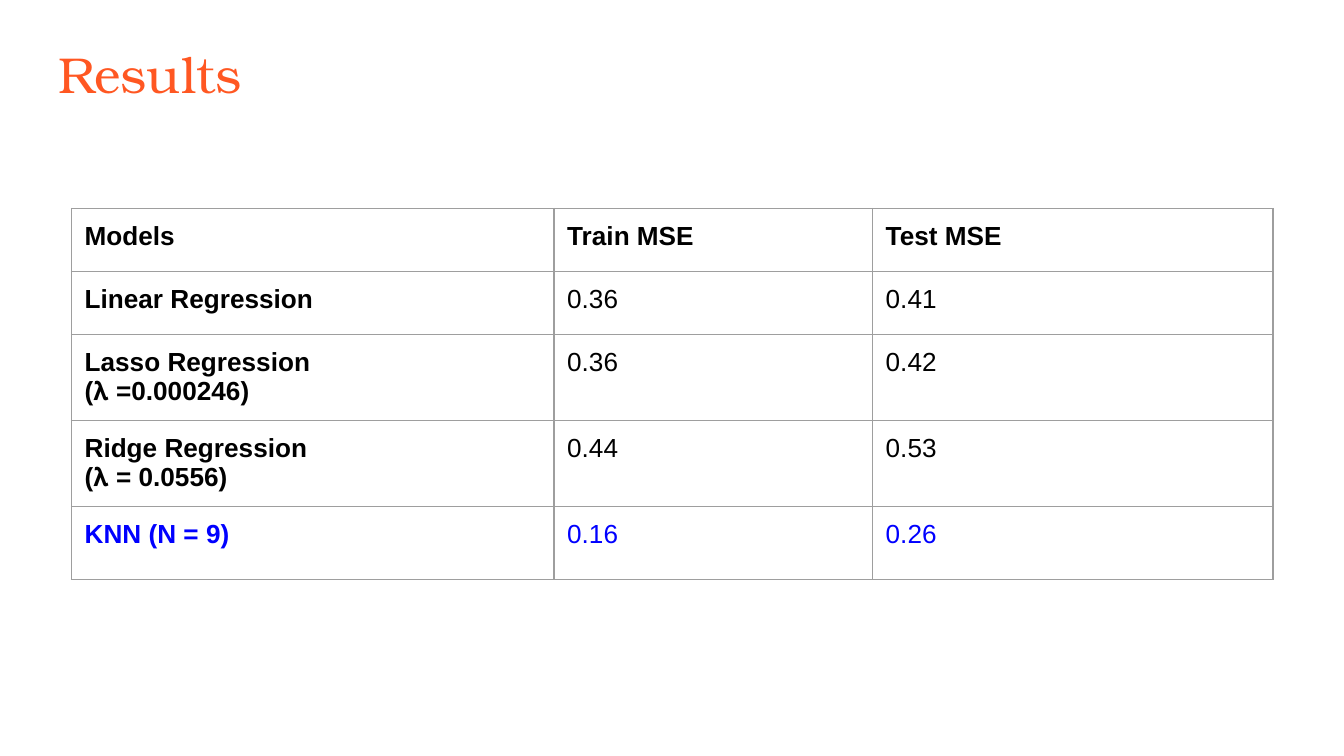
from lxml.etree import SubElement
from pptx import Presentation
from pptx.dml.color import RGBColor
from pptx.enum.text import MSO_ANCHOR, PP_ALIGN
from pptx.oxml.ns import qn
from pptx.util import Cm, Pt

INSET = Cm(0.25)
COLUMN_WIDTHS = [9.12, 6.02, 7.57]
ROW_HEIGHTS = [1.19, 1.19, 1.63, 1.63, 1.37]
RESULTS = [
    ("Models", "Train MSE", "Test MSE"),
    ("Linear Regression", "0.36", "0.41"),
    ("Lasso Regression\n(𝛌 =0.000246)", "0.36", "0.42"),
    ("Ridge Regression\n(𝛌 = 0.0556)", "0.44", "0.53"),
    ("KNN (N = 9)", "0.16", "0.26"),
]


def color(value):
    return RGBColor.from_string(value)


def format_text(text_frame, name, size, value, bold=False):
    for paragraph in text_frame.paragraphs:
        paragraph.alignment = PP_ALIGN.LEFT
        paragraph.line_spacing = 1.0
        for span in paragraph.runs:
            span.font.name = name
            span.font.size = Pt(size)
            span.font.bold = bold
            span.font.color.rgb = color(value)


def set_insets(target):
    target.margin_left = target.margin_right = INSET
    target.margin_top = target.margin_bottom = INSET


def add_borders(cell, value, width):
    properties = cell._tc.get_or_add_tcPr()
    for position, side in enumerate(("lnL", "lnR", "lnT", "lnB")):
        line = SubElement(properties, qn(f"a:{side}"), w=str(Pt(width)))
        fill = SubElement(line, qn("a:solidFill"))
        SubElement(fill, qn("a:srgbClr"), val=value)
        # Border lines must precede the cell fill
        properties.insert(position, line)


def add_title(page, text):
    title = page.shapes.title
    title.left, title.top = Cm(0.86), Cm(0.56)
    title.width, title.height = Cm(23.67), Cm(1.6)
    frame = title.text_frame
    frame.text = text
    frame.vertical_anchor = MSO_ANCHOR.TOP
    set_insets(frame)
    format_text(frame, "TeX Gyre Bonum", 27, "FF5722")


def add_results_table(page):
    table = page.shapes.add_table(
        len(RESULTS), len(COLUMN_WIDTHS), Cm(1.35), Cm(3.94),
        Cm(sum(COLUMN_WIDTHS)), Cm(sum(ROW_HEIGHTS))).table
    table.horz_banding = False
    for column, width in zip(table.columns, COLUMN_WIDTHS):
        column.width = Cm(width)
    for row, height in zip(table.rows, ROW_HEIGHTS):
        row.height = Cm(height)

    # Header row and model names are bold; the best model is blue
    for row_index, values in enumerate(RESULTS):
        text_color = "0000FF" if row_index == len(RESULTS) - 1 else "000000"
        for column_index, value in enumerate(values):
            cell = table.cell(row_index, column_index)
            cell.text_frame.text = value
            set_insets(cell)
            cell.fill.background()
            add_borders(cell, "9E9E9E", 0.75)
            format_text(cell.text_frame, "Arial", 14, text_color,
                        bold=row_index == 0 or column_index == 0)


def main():
    deck = Presentation()
    deck.slide_width, deck.slide_height = Cm(25.4), Cm(14.29)
    page = deck.slides.add_slide(deck.slide_layouts[5])
    add_title(page, "Results")
    add_results_table(page)
    deck.save("out.pptx")


if __name__ == "__main__":
    main()
